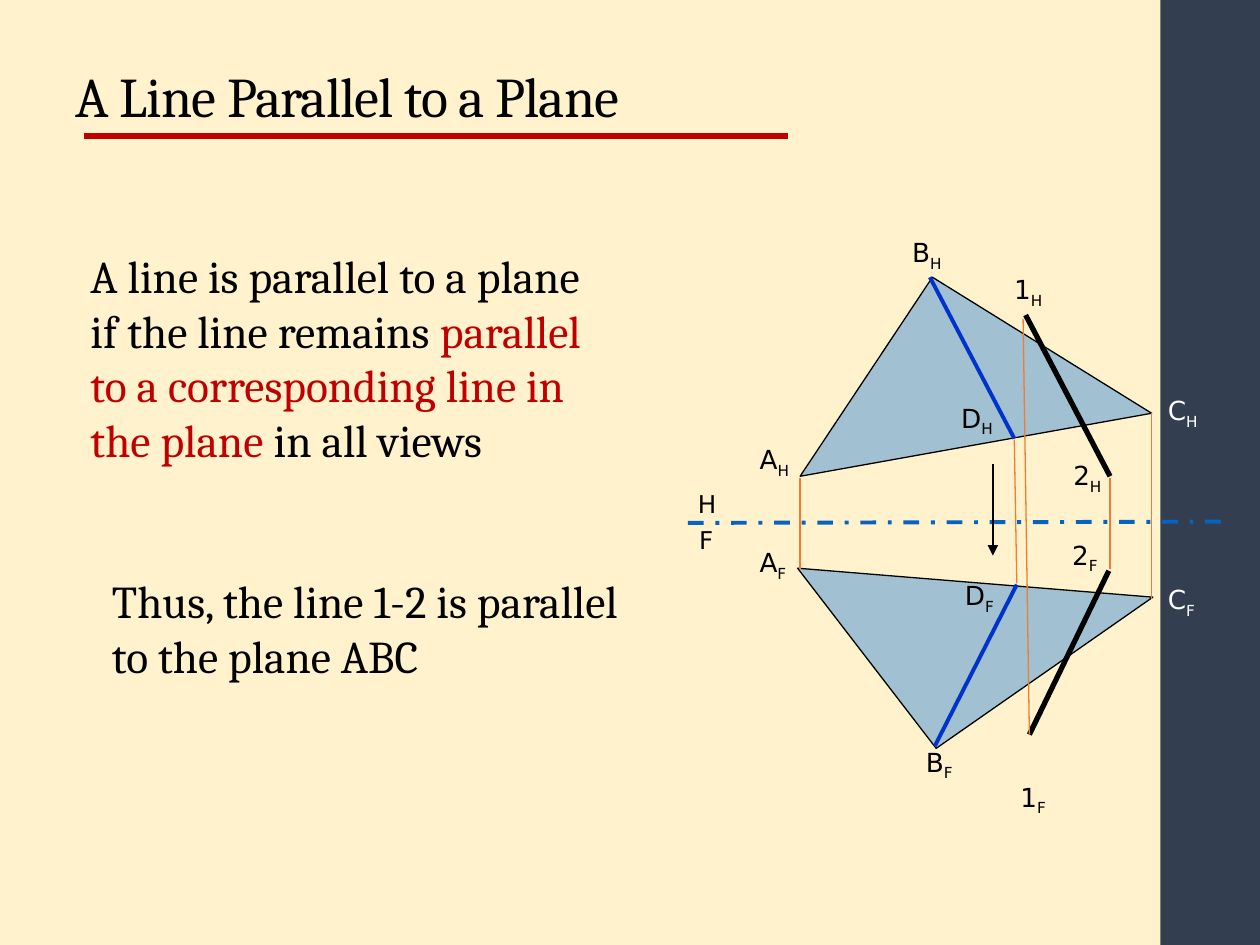
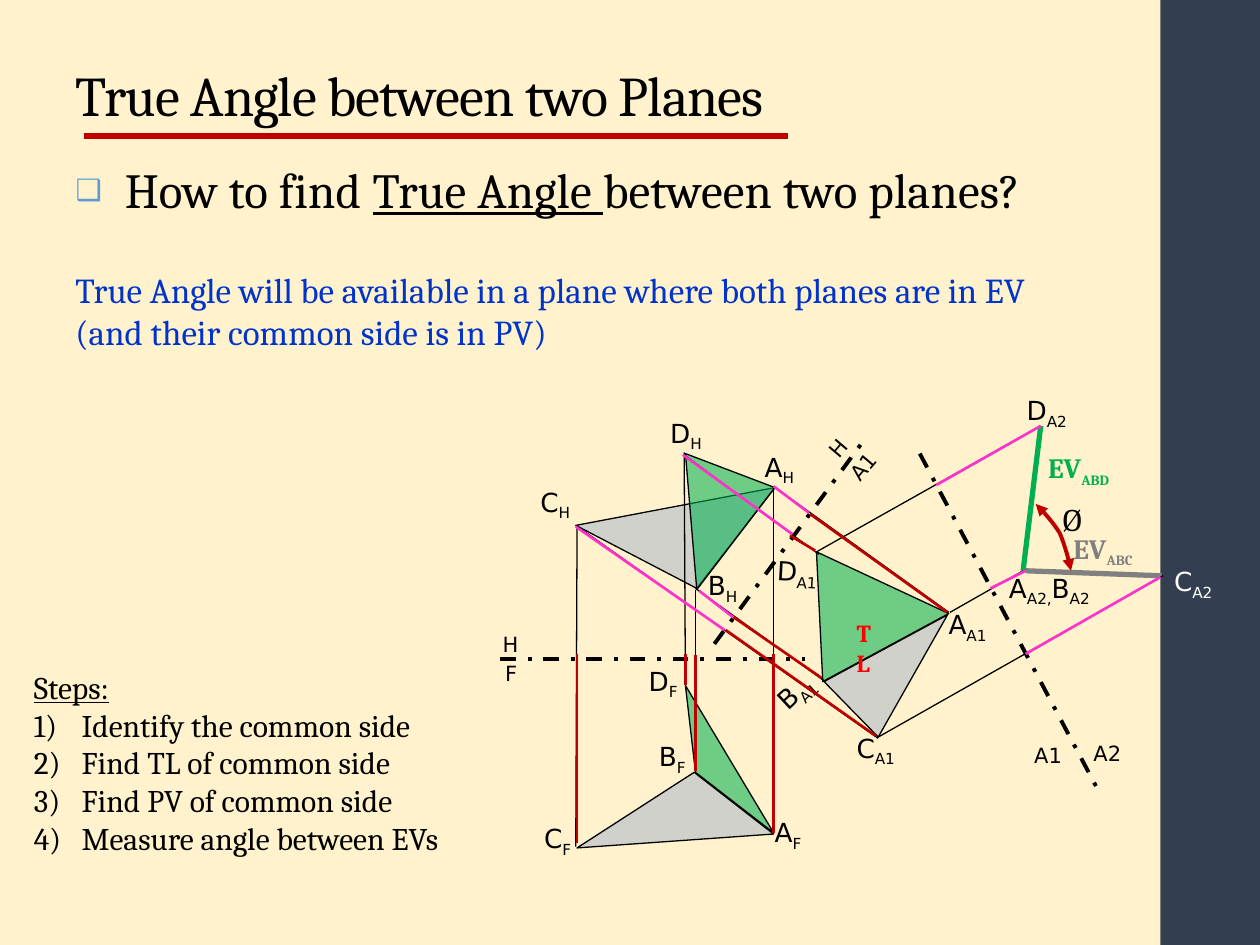
from lxml import etree
from pptx import Presentation
from pptx.dml.color import RGBColor
from pptx.enum.dml import MSO_LINE
from pptx.enum.shapes import MSO_CONNECTOR, MSO_SHAPE
from pptx.enum.text import MSO_ANCHOR, MSO_AUTO_SIZE, PP_ALIGN
from pptx.oxml.ns import qn
from pptx.util import Inches, Pt

STRAIGHT = MSO_CONNECTOR.STRAIGHT
RECTANGLE = MSO_SHAPE.RECTANGLE
DASH_DOT = MSO_LINE.DASH_DOT
BOTTOM, TOP = MSO_ANCHOR.BOTTOM, MSO_ANCHOR.TOP
FIT_SHAPE, NO_FIT = MSO_AUTO_SIZE.SHAPE_TO_FIT_TEXT, MSO_AUTO_SIZE.NONE
LEFT = PP_ALIGN.LEFT

TEXT_FONT, LABEL_FONT = "Cambria", "DejaVu Sans"
CREAM, NAVY, BLACK, WHITE = "FFF2CC", "333F50", "000000", "FFFFFF"
RED, BRIGHT_RED, ORANGE, PINK = "C00000", "FF0000", "ED7D31", "FF33CC"
BLUE, LIGHT_BLUE, AXIS_BLUE = "0033CC", "5B9BD5", "0563C1"
GREEN, GRAY, PALE_GRAY = "00B050", "808080", "ADB9CA"

TITLE_ONLY, TITLE_AND_BODY = 5, 1


def rgb(color):
    return RGBColor.from_string(color)


def add_xml(parent, tag, **attributes):
    return etree.SubElement(parent, qn(tag), attributes)


def bezier(start, control_1, control_2, end, steps=8):
    """Points along a cubic curve, without its start."""
    points = []
    for step in range(1, steps + 1):
        t = step / steps
        weights = ((1 - t) ** 3, 3 * t * (1 - t) ** 2, 3 * t * t * (1 - t), t ** 3)
        corners = (start, control_1, control_2, end)
        points.append(tuple(sum(w * corner[axis] for w, corner in zip(weights, corners))
                            for axis in (0, 1)))
    return points


class Deck:
    """Holds the shared style and the current slide."""

    def __init__(self):
        self.presentation = Presentation()
        self.presentation.slide_width = Inches(10)
        self.presentation.slide_height = Inches(7.5)
        background = self.presentation.slide_master.background.fill
        background.solid()
        background.fore_color.rgb = rgb(CREAM)
        self.slide = None

    def new_slide(self, layout, title, *box):
        layouts = self.presentation.slide_layouts
        self.slide = self.presentation.slides.add_slide(layouts[layout])
        # Side band and title rule
        band = self.slide.shapes.add_shape(
            RECTANGLE, Inches(9.21), 0, Inches(0.79), Inches(7.5))
        band.shadow.inherit = False
        band.fill.solid()
        band.fill.fore_color.rgb = rgb(NAVY)
        band.line.fill.background()
        self.line((0.67, 1.08), (6.25, 1.08), RED, 3)
        # Title
        paragraph = self.placeholder(self.slide.shapes.title, box, BOTTOM)
        runs = self.add_runs(paragraph, [title], 32)
        self.track(runs, -50)
        paragraph.line_spacing = 0.9

    def placeholder(self, shape, box, anchor):
        shape.left, shape.top, shape.width, shape.height = map(Inches, box)
        frame = shape.text_frame
        frame.auto_size = NO_FIT
        frame.vertical_anchor = anchor
        paragraph = frame.paragraphs[0]
        paragraph.alignment = LEFT
        paragraph.space_before = Pt(0)
        return paragraph

    def add_runs(self, paragraph, texts, size, color=BLACK, font=TEXT_FONT, bold=False):
        paragraph.font.size = Pt(size)
        paragraph.font.name = font
        paragraph.font.bold = bold
        paragraph.font.color.rgb = rgb(color)
        runs = []
        for text in texts:
            run = paragraph.add_run()
            run.text = text
            runs.append(run)
        return runs

    def track(self, runs, spacing):
        for run in runs:
            run._r.get_or_add_rPr().set("spc", str(spacing))

    def text_box(self, left, top, width, height, wrap=True):
        box = self.slide.shapes.add_textbox(*map(Inches, (left, top, width, height)))
        box.text_frame.word_wrap = wrap
        return box

    def text(self, box, texts, size, color=BLACK, bold=False):
        paragraph = self.text_box(*box).text_frame.paragraphs[0]
        return self.add_runs(paragraph, texts, size, color, bold=bold)

    def label(self, text, left, top, width, rotation=0, size=15, color=BLACK,
              font=LABEL_FONT, bold=False, subscript_size=None):
        """Every second part of text, split at '|', is a subscript."""
        height = round(size * 1.17 / 72 + 0.1, 2)
        box = self.text_box(left, top, width, height, wrap=False)
        box.text_frame.auto_size = FIT_SHAPE
        box.rotation = rotation
        runs = self.add_runs(box.text_frame.paragraphs[0], text.split("|"),
                             size, color, font, bold)
        for run in runs[1::2]:
            run._r.get_or_add_rPr().set("baseline", "-25000")
            if subscript_size:
                run.font.size = Pt(subscript_size)

    def labels(self, rows, **style):
        for row in rows:
            self.label(*row, **style)

    def arrowheads(self, shape, *ends):
        outline = shape._element.spPr.find(qn("a:ln"))
        for end in ends:
            add_xml(outline, end, type="triangle")

    def line(self, start, end, color=BLACK, width=0.75, dash=None, arrow=False):
        connector = self.slide.shapes.add_connector(
            STRAIGHT, *map(Inches, (*start, *end)))
        connector.line.color.rgb = rgb(color)
        connector.line.width = Pt(width)
        if dash:
            connector.line.dash_style = dash
        if arrow:
            self.arrowheads(connector, "a:tailEnd")
        add_xml(connector._element.spPr, "a:effectLst")

    def lines(self, pairs, *style):
        for start, end in pairs:
            self.line(start, end, *style)

    def outline(self, points, color, width, closed):
        corners = [(Inches(x), Inches(y)) for x, y in points]
        builder = self.slide.shapes.build_freeform(*corners[0])
        builder.add_line_segments(corners[1:], close=closed)
        shape = builder.convert_to_shape()
        shape.shadow.inherit = False
        shape.line.color.rgb = rgb(color)
        shape.line.width = Pt(width)
        shape.fill.background()
        return shape

    def plane(self, color, *points):
        shape = self.outline(points, BLACK, 0.75, True)
        shape.fill.solid()
        shape.fill.fore_color.rgb = rgb(color)
        solid = shape._element.spPr.find(qn("a:solidFill"))
        add_xml(solid[0], "a:alpha", val="57000")

    def double_arrow(self, points, color, width):
        shape = self.outline(points, color, width, False)
        self.arrowheads(shape, "a:headEnd", "a:tailEnd")

    def indent(self, paragraph, amount):
        properties = paragraph._p.get_or_add_pPr()
        properties.set("marL", str(Inches(amount)))
        properties.set("indent", str(-Inches(amount)))
        return properties

    def bullet_body(self, texts, *box):
        paragraph = self.placeholder(self.slide.placeholders[1], box, TOP)
        properties = self.indent(paragraph, 0.39)
        add_xml(add_xml(properties, "a:buClr"), "a:srgbClr", val=LIGHT_BLUE)
        add_xml(properties, "a:buSzPct", val="60000")
        add_xml(properties, "a:buFont", typeface=LABEL_FONT)
        add_xml(properties, "a:buChar", char="❑")
        paragraph.line_spacing = 0.95
        runs = self.add_runs(paragraph, texts, 28)
        self.track(runs, 10)
        return runs

    def numbered_list(self, heading, items, size, *box):
        frame = self.text_box(*box).text_frame
        self.add_runs(frame.paragraphs[0], [heading], size)[0].font.underline = True
        for item in items:
            paragraph = frame.add_paragraph()
            add_xml(self.indent(paragraph, 0.38), "a:buAutoNum", type="arabicParenR")
            self.add_runs(paragraph, [item], size)


def parallel_line_slide(deck):
    deck.new_slide(TITLE_ONLY, "A Line Parallel to a Plane", 0.5, 0.08, 7.95, 1)

    # Plane ABC in the top and front views
    deck.plane(LIGHT_BLUE, (7.4, 2.2), (6.35, 3.78), (9.14, 3.28))
    deck.plane(LIGHT_BLUE, (6.33, 4.51), (9.15, 4.74), (7.43, 5.94))

    # Line 1-2, fold line, line BD and viewing direction
    deck.lines([((8.8, 4.53), (8.17, 5.83)), ((8.81, 3.78), (8.14, 2.5))], BLACK, 3)
    deck.line((5.46, 4.15), (9.75, 4.14), AXIS_BLUE, 2.25, DASH_DOT)
    deck.lines([((7.42, 5.92), (8.07, 4.64)), ((7.38, 2.2), (8.05, 3.48))], BLUE, 2.25)
    deck.line((7.88, 3.68), (7.88, 4.41), arrow=True)

    # Projectors
    deck.lines([((6.35, 4.52), (6.35, 3.79)), ((9.14, 4.75), (9.14, 3.28)),
                ((8.07, 4.63), (8.05, 3.49)), ((8.81, 4.52), (8.81, 3.79)),
                ((8.17, 5.83), (8.12, 2.53))], ORANGE)

    # Point and view labels
    deck.labels([("A|H", 5.93, 3.47, 0.45), ("B|H", 7.14, 1.83, 0.45),
                 ("D|H", 7.53, 3.14, 0.47), ("1|H", 7.95, 2.12, 0.44),
                 ("2|H", 8.42, 3.6, 0.44), ("A|F", 5.93, 4.29, 0.43),
                 ("B|F", 7.25, 5.87, 0.43), ("D|F", 7.56, 4.55, 0.44),
                 ("1|F", 8, 6.15, 0.42), ("2|F", 8.41, 4.23, 0.42)])
    deck.labels([("C|H", 9.17, 3.08, 0.47), ("C|F", 9.17, 4.58, 0.45)], color=WHITE)
    deck.labels([("H", 5.44, 3.83, 0.35), ("F", 5.45, 4.12, 0.31)], size=14)

    # Statements
    statement = deck.text(
        (0.62, 1.92, 4.3, 2.17),
        ["A line is parallel to a plane if the line remains ",
         "parallel to a corresponding line in the plane ", "in all views"], 26)
    statement[1].font.color.rgb = rgb(RED)
    deck.text((0.79, 4.5, 4.3, 1),
              ["Thus, the line 1-2 is parallel to the plane ABC"], 26)


def true_angle_slide(deck):
    deck.new_slide(TITLE_AND_BODY, "True Angle between two Planes", 0.5, 0.17, 9, 0.9)
    question = deck.bullet_body(["How to find ", "True Angle ", "between two planes?"],
                                0.5, 1.25, 9, 0.58)
    question[1].font.underline = True

    # Planes ABC and ABD in the front, top and first auxiliary views
    deck.plane(PALE_GRAY, (4.58, 6.73), (5.51, 6.13), (6.14, 6.62))
    deck.plane(GREEN, (5.44, 5.44), (6.14, 6.61), (5.52, 6.13))
    deck.plane(PALE_GRAY, (4.57, 4.17), (6.15, 3.87), (5.53, 4.67))
    deck.plane(GREEN, (5.44, 3.6), (6.15, 3.87), (5.53, 4.68))
    deck.plane(PALE_GRAY, (6.54, 5.41), (6.97, 5.85), (7.52, 4.88))
    deck.plane(GREEN, (6.48, 4.38), (6.53, 5.41), (7.53, 4.87))

    # Edge views and fold lines
    deck.line((8.14, 4.53), (9.22, 4.57), GRAY, 3)
    deck.line((8.12, 4.53), (8.26, 3.38), GREEN, 3)
    deck.lines([((3.97, 5.23), (6.39, 5.23)), ((5.67, 5.11), (6.83, 3.53)),
                ((7.3, 3.6), (8.72, 6.28))], BLACK, 2.25, DASH_DOT)

    # Projectors
    deck.lines([((4.57, 6.72), (4.58, 4.17)), ((5.52, 4.68), (5.52, 6.13)),
                ((6.14, 6.61), (6.14, 3.86)), ((5.44, 5.44), (5.43, 3.59)),
                ((6.14, 3.86), (7.53, 4.86)), ((5.43, 3.61), (6.5, 4.4)),
                ((5.52, 4.67), (6.55, 5.41)), ((4.57, 4.17), (6.97, 5.86)),
                ((6.48, 4.38), (8.24, 3.39)), ((6.97, 5.85), (9.23, 4.57)),
                ((7.54, 4.86), (8.12, 4.53))])

    # Point and view labels
    deck.labels([("A|H", 5.97, 3.53, 0.45), ("B|H", 5.52, 4.47, 0.45),
                 ("C|H", 4.19, 3.81, 0.45), ("D|H", 5.22, 3.26, 0.47),
                 ("A|F", 6.05, 6.43, 0.42), ("B|F", 5.13, 5.83, 0.42),
                 ("C|F", 4.22, 6.48, 0.43), ("D|F", 5.05, 5.23, 0.44),
                 ("A|A1", 7.43, 4.78, 0.53), ("B|A1", 6.05, 5.3, 0.53, 316.9),
                 ("C|A1", 6.7, 5.76, 0.53), ("D|A1", 6.07, 4.36, 0.55, 3.3),
                 ("A|A2,|B|A2", 7.91, 4.49, 0.9), ("D|A2", 8.05, 3.08, 0.55)])
    deck.label("C|A2", 9.22, 4.44, 0.53, color=WHITE)
    deck.labels([("H", 3.89, 4.96, 0.34), ("F", 3.91, 5.19, 0.31),
                 ("H", 6.48, 3.4, 0.34, 310.3), ("A1", 6.63, 3.54, 0.45, 310.3),
                 ("A1", 8.11, 5.84, 0.45), ("A2", 8.58, 5.83, 0.45)], size=12)

    # Equal distances: red and pink parts of the projectors
    deck.lines([((5.76, 5), (6.95, 5.84)), ((5.81, 4.89), (6.52, 5.38)),
                ((6.47, 4.37), (6.27, 4.25)), ((6.43, 4.08), (7.52, 4.86)),
                ((4.58, 6.69), (4.58, 5.19)), ((5.52, 6.12), (5.52, 5.2)),
                ((5.44, 5.44), (5.44, 5.19)), ((6.14, 6.61), (6.14, 5.19))], RED, 1.5)
    deck.lines([((7.43, 3.85), (8.26, 3.38)), ((8.14, 5.19), (9.21, 4.58)),
                ((7.86, 4.67), (8.14, 4.53)), ((6.14, 3.86), (6.42, 4.07)),
                ((5.55, 4.69), (5.82, 4.9)), ((5.42, 3.61), (6.29, 4.24)),
                ((4.57, 4.18), (5.75, 5))], PINK, 1.5)

    # True angle, true length and edge view labels
    start, middle, end = (8.22, 4), (8.41, 4.23), (8.5, 4.53)
    deck.double_arrow([start, *bezier(start, (8.29, 4.07), (8.36, 4.15), middle),
                       *bezier(middle, (8.45, 4.32), (8.49, 4.47), end)], RED, 2.25)
    deck.label("Ø", 8.33, 3.92, 0.37, size=18, font=TEXT_FONT)
    deck.text((6.7, 4.86, 0.38, 0.34), ["TL"], 14, BRIGHT_RED, bold=True)
    edge_view = {"size": 16, "font": TEXT_FONT, "bold": True, "subscript_size": 14}
    deck.label("EV|ABD", 8.22, 3.53, 0.69, color=GREEN, **edge_view)
    deck.label("EV|ABC", 8.42, 4.17, 0.85, color=GRAY, **edge_view)

    # Explanation and steps
    deck.text((0.5, 2.08, 7.83, 0.77),
              ["True Angle will be available in a plane where both planes are in EV "
               "(and their common side is in PV)"], 20, BLUE)
    deck.numbered_list("Steps:", ["Identify the common side", "Find TL of common side",
                                  "Find PV of common side", "Measure angle between EVs"],
                       18, 0.17, 5.25, 4, 1.62)


def main():
    deck = Deck()
    parallel_line_slide(deck)
    true_angle_slide(deck)
    deck.presentation.save("out.pptx")


if __name__ == "__main__":
    main()
